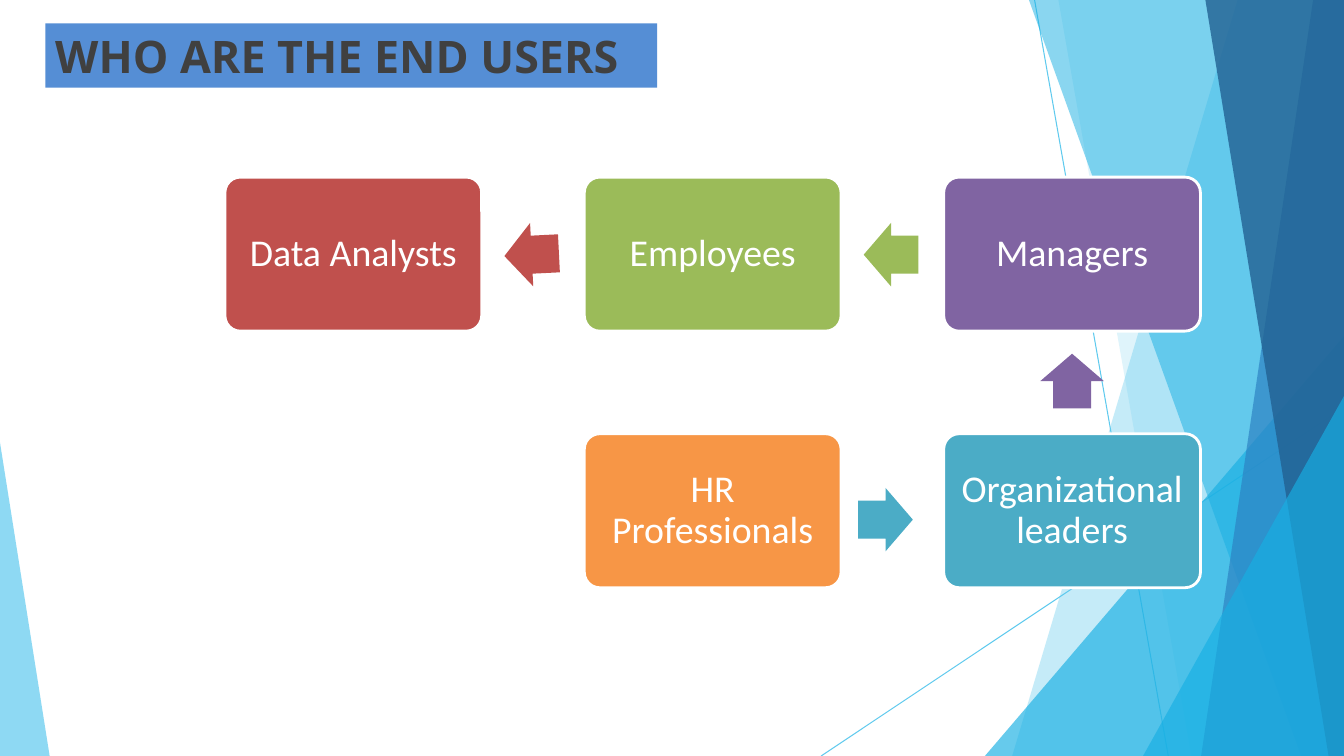
"""Build the end users slide: a flow of five user groups beside blue facets."""
from lxml import etree
from pptx import Presentation
from pptx.dml.color import RGBColor
from pptx.enum.shapes import MSO_CONNECTOR, MSO_SHAPE
from pptx.enum.text import MSO_ANCHOR, PP_ALIGN
from pptx.oxml.ns import qn
from pptx.util import Pt

RECT, ROUNDED, ARROW = MSO_SHAPE.RECTANGLE, MSO_SHAPE.ROUNDED_RECTANGLE, MSO_SHAPE.RIGHT_ARROW
STRAIGHT = MSO_CONNECTOR.STRAIGHT
MIDDLE, LEFT, CENTER = MSO_ANCHOR.MIDDLE, PP_ALIGN.LEFT, PP_ALIGN.CENTER

W, H = 960, 540
TITLE = "WHO ARE THE END USERS"
USERS = {
    "Data Analysts": (0, 0, "red"),
    "Employees": (1, 0, "green"),
    "Managers": (2, 0, "purple"),
    "Organizational leaders": (2, 1, "teal"),
    "HR Professionals": (1, 1, "orange"),
}
# source, target, rotation, nudge from the midpoint
FLOW = [
    ("Employees", "Data Analysts", 177.1, (-1, 0.4), "red"),
    ("Managers", "Employees", 180, (-1, 0.4), "green"),
    ("Organizational leaders", "Managers", 270, (0, -1), "purple"),
    ("HR Professionals", "Organizational leaders", 0, (-4.9, 6.4), "teal"),
]
RAYS = [((739, 0), (834.5, H)), ((W, 291), (586.5, H))]
FACETS = [
    ([(W, 0), (884, 0), (723, H), (W, H)], "sky", 36),
    ([(W, 0), (756, 0), (851, H), (W, H)], "sky", 20),
    ([(W, 240), (703.5, H), (W, H)], "cyan", 66),
    ([(W, 0), (735, 0), (929.5, H), (W, H)], "cyan", 50),
    ([(W, 0), (938, 0), (858, H), (W, H)], "blue", 70),
    ([(W, 0), (861, 0), (949, H), (W, H)], "navy", 80),
    ([(W, 283), (816.5, H), (W, H)], "cyan", 66),
    ([(0, 316), (0, H), (35.5, H)], "sky", 70),
]
THEME = {
    "sky": "5FCAEE", "cyan": "17AFE3", "blue": "2D83C3", "navy": "226192",
    "red": "C0504D", "green": "9BBB59", "purple": "8064A2", "teal": "4BACC6",
    "orange": "F79646", "banner": "558ED5", "ink": "404040", "white": "FFFFFF",
    "title": {"name": "Open Sans", "size": Pt(32), "bold": True},
    "label": {"name": "Calibri", "size": Pt(27), "bold": False},
}
BANNER = (32.4, 16.6, 437, 46)
GRID_LEFT, GRID_TOP, STEP_X, STEP_Y = 160.7, 126.5, 256.7, 183.3
BOX_W, BOX_H, ARROW_W, ARROW_H = 183.4, 110, 39, 45.3


def color(name):
    return RGBColor.from_string(THEME[name])


def paint(shape, fill, alpha=100, line=None):
    shape.shadow.inherit = False
    shape.fill.solid()
    shape.fill.fore_color.rgb = color(fill)
    if alpha < 100:
        srgb = shape.fill._xPr.find(".//" + qn("a:srgbClr"))
        etree.SubElement(srgb, qn("a:alpha"), val=str(alpha * 1000))
    if line:
        shape.line.color.rgb = color(line)
        shape.line.width = Pt(2)
    else:
        shape.line.fill.background()


def add_shape(s, kind, box, fill, line=None):
    shape = s.shapes.add_shape(kind, *map(Pt, box))
    paint(shape, fill, line=line)
    return shape


def write(shape, text, style, ink, align, inset, spacing):
    tf = shape.text_frame
    frame = {"word_wrap": True, "vertical_anchor": MIDDLE,
             "margin_left": Pt(inset), "margin_right": Pt(inset)}
    for key, value in frame.items():
        setattr(tf, key, value)
    p = tf.paragraphs[0]
    p.alignment, p.line_spacing = align, spacing
    r = p.add_run()
    r.text = text
    for key, value in THEME[style].items():
        setattr(r.font, key, value)
    r.font.color.rgb = color(ink)


def add_background(s):
    for start, end in RAYS:
        ray = s.shapes.add_connector(STRAIGHT, *map(Pt, start + end))
        ray.line.color.rgb = color("sky")
        ray.line.width = Pt(0.75)
        etree.SubElement(ray._element.spPr, qn("a:effectLst"))
    for outline, fill, alpha in FACETS:
        first, *rest = [(Pt(x), Pt(y)) for x, y in outline]
        builder = s.shapes.build_freeform(*first)
        builder.add_line_segments(rest, close=True)
        paint(builder.convert_to_shape(), fill, alpha)


def add_flow(s):
    centers = {}
    for user, (col, row, fill) in USERS.items():
        x, y = GRID_LEFT + col * STEP_X, GRID_TOP + row * STEP_Y
        centers[user] = (x + BOX_W / 2, y + BOX_H / 2)
        box = add_shape(s, ROUNDED, (x, y, BOX_W, BOX_H), fill, "white")
        box.adjustments[0] = 0.1
        write(box, user, "label", "white", CENTER, 7.9, 0.9)
    for source, target, rotation, nudge, fill in FLOW:
        x, y = [(a + b) / 2 + d for a, b, d in zip(centers[source], centers[target], nudge)]
        arrow = add_shape(s, ARROW, (x - ARROW_W / 2, y - ARROW_H / 2, ARROW_W, ARROW_H), fill)
        arrow.adjustments[0], arrow.adjustments[1] = 0.6, 0.5
        arrow.rotation = rotation


def main():
    prs = Presentation()
    prs.slide_width, prs.slide_height = Pt(W), Pt(H)
    s = prs.slides.add_slide(prs.slide_layouts[6])
    add_background(s)
    write(add_shape(s, RECT, BANNER, "banner"), TITLE, "title", "ink", LEFT, 7.2, 1.0)
    add_flow(s)
    prs.save("out.pptx")


if __name__ == "__main__":
    main()
